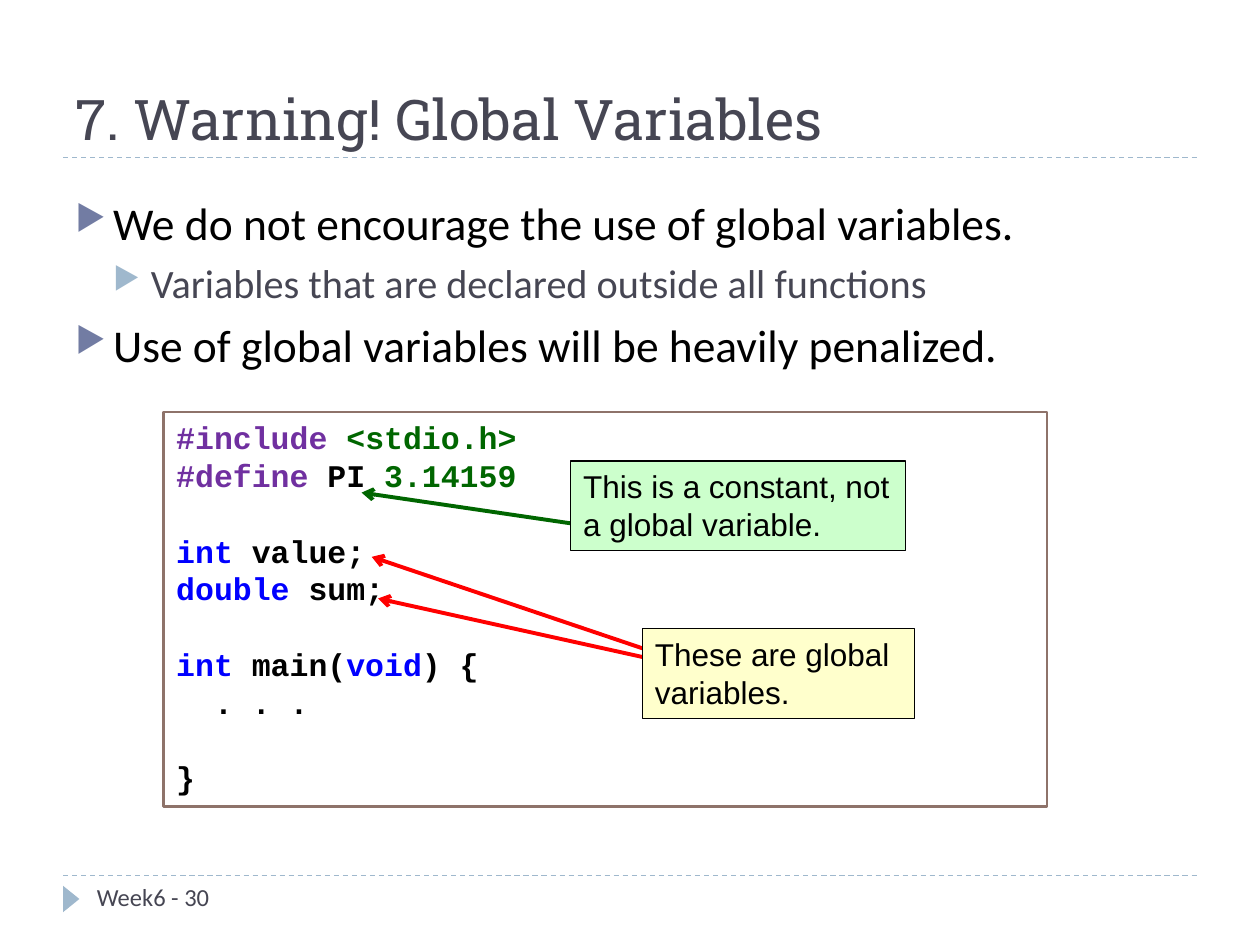
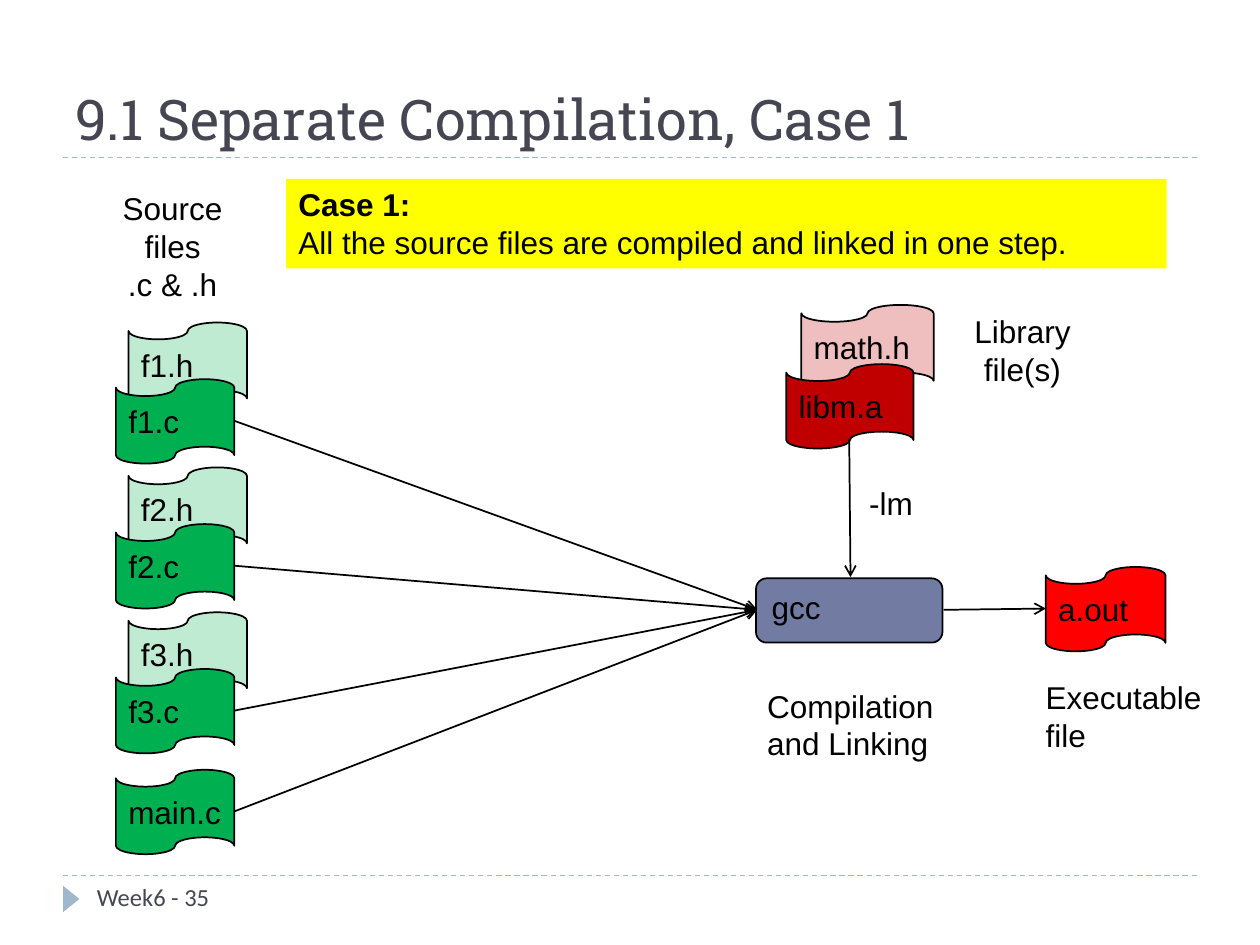
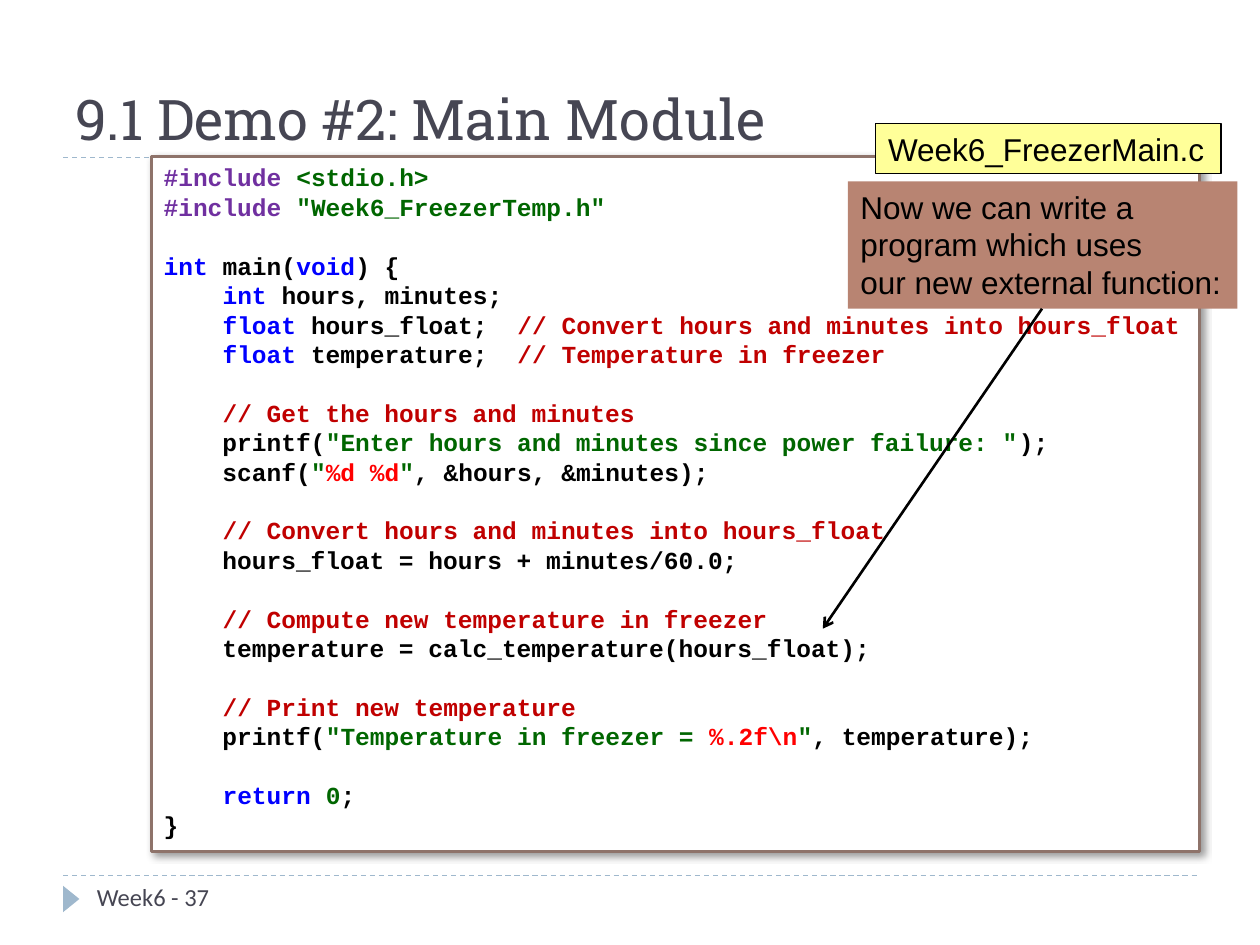
from pptx import Presentation
from pptx import util as u
from pptx.dml.color import RGBColor
from pptx.enum import dml, shapes, text
from pptx.oxml.ns import qn
from pptx.text.text import Font
from lxml import etree

# Colours
BLACK = RGBColor(0x00, 0x00, 0x00)
WHITE = RGBColor(0xFF, 0xFF, 0xFF)
SLATE = RGBColor(0x46, 0x46, 0x53)
INDIGO = RGBColor(0x72, 0x7C, 0xA3)
SKY = RGBColor(0x9F, 0xB8, 0xCD)
BROWN = RGBColor(0x8E, 0x73, 0x6A)
CLAY = RGBColor(0xB8, 0x84, 0x72)
PURPLE = RGBColor(0x70, 0x30, 0xA0)
BLUE = RGBColor(0x00, 0x00, 0xFF)
DARK_GREEN = RGBColor(0x00, 0x66, 0x00)
GREEN = RGBColor(0x00, 0xB0, 0x50)
RED = RGBColor(0xFF, 0x00, 0x00)
DARK_RED = RGBColor(0xC0, 0x00, 0x00)
PALE_GREEN = RGBColor(0xCC, 0xFF, 0xCC)
CREAM = RGBColor(0xFF, 0xFF, 0xCC)
LEMON = RGBColor(0xFF, 0xFF, 0x99)
YELLOW = RGBColor(0xFF, 0xFF, 0x00)

# The first letter of each code piece gives its colour
CODE_COLORS = {"b": BLACK, "p": PURPLE, "k": BLUE, "g": DARK_GREEN,
               "c": DARK_RED, "r": RED}

# Bullet levels: size, text colour, bullet colour, left margin, space before
LEVELS = [(26, BLACK, INDIGO, 0.3, 6), (23, SLATE, SKY, 0.6, 5)]

RECT = shapes.MSO_SHAPE.RECTANGLE
TAPE = shapes.MSO_SHAPE.FLOWCHART_PUNCHED_TAPE


def add(parent, tag, **attrs):
    return etree.SubElement(parent, qn(tag), attrs)


def style(font, name, size, color, bold=False):
    font.name, font.size, font.bold = name, u.Pt(size), bold
    font.color.rgb = color


class Deck:
    """Holds the shared style and the current slide."""

    def __init__(self):
        self.prs = Presentation()
        self.prs.slide_width, self.prs.slide_height = u.Inches(10), u.Inches(7.5)

    def slide(self, title, number):
        self.s = self.prs.slides.add_slide(self.prs.slide_layouts[6])
        for y in (6.95, 1.25):
            self.line(0.5, y, 9.5, y, SKY, 0.75, dash=True)
        marker = self.shape(0.46, 7.07, 0.21, 0.13, SKY, None,
                            kind=shapes.MSO_SHAPE.ISOSCELES_TRIANGLE)
        marker.rotation = 90
        tf = self.label(0.5, 0.17, 9, 1.08, title, "Roboto Slab", 32, SLATE, wrap=True)
        tf.vertical_anchor = text.MSO_ANCHOR.BOTTOM
        self.label(0.67, 6.95, 2.17, 0.4, f"Week6 - {number}", "Calibri", 14, SLATE,
                   wrap=True)

    def line(self, x1, y1, x2, y2, color=BLACK, width=1, dash=False, arrow=False):
        cx = self.s.shapes.add_connector(shapes.MSO_CONNECTOR.STRAIGHT,
                                         *map(u.Inches, (x1, y1, x2, y2)))
        cx.line.color.rgb, cx.line.width = color, u.Pt(width)
        if dash:
            cx.line.dash_style = dml.MSO_LINE.DASH
        spPr = cx._element.spPr
        if arrow:
            add(spPr.get_or_add_ln(), "a:tailEnd", type="arrow")
        add(spPr, "a:effectLst")

    def arrow(self, x1, y1, x2, y2, color=BLACK, width=1):
        self.line(x1, y1, x2, y2, color, width, arrow=True)

    def shape(self, x, y, w, h, fill, line=BLACK, width=1, kind=RECT, alpha=None):
        sp = self.s.shapes.add_shape(kind, *map(u.Inches, (x, y, w, h)))
        sp.shadow.inherit = False
        sp.fill.solid()
        sp.fill.fore_color.rgb = fill
        if alpha:
            color = sp._element.spPr.find(qn("a:solidFill")).find(qn("a:srgbClr"))
            add(color, "a:alpha", val=str(alpha * 1000))
        if line is None:
            sp.line.fill.background()
        else:
            sp.line.color.rgb, sp.line.width = line, u.Pt(width)
        sp.text_frame.vertical_anchor = text.MSO_ANCHOR.TOP
        return sp

    def set_text(self, tf, words, name="Arial", size=18, color=BLACK,
                 align=text.PP_ALIGN.LEFT, wrap=True):
        tf.word_wrap = wrap
        if not wrap:
            tf.auto_size = text.MSO_AUTO_SIZE.SHAPE_TO_FIT_TEXT
        tf.text = words
        for p in tf.paragraphs:
            p.alignment = align
            for r in p.runs:
                style(r.font, name, size, color)
        return tf

    def label(self, x, y, w, h, words, name="Arial", size=18, color=BLACK,
              align=text.PP_ALIGN.LEFT, wrap=False):
        tb = self.s.shapes.add_textbox(*map(u.Inches, (x, y, w, h)))
        return self.set_text(tb.text_frame, words, name, size, color, align, wrap)

    def box(self, x, y, w, h, words, fill, line=BLACK, width=0.75, kind=RECT,
            alpha=None, wrap=True):
        sp = self.shape(x, y, w, h, fill, line, width, kind, alpha)
        return self.set_text(sp.text_frame, words, wrap=wrap)

    def tape(self, x, y, w, words, fill, alpha=None):
        self.box(x, y, w, 0.67, words, fill, width=1, kind=TAPE, alpha=alpha)

    def bullets(self, x, y, w, h, items):
        tf = self.label(x, y, w, h, "\n".join(t for _, t in items), wrap=True)
        for i, (p, (level, _)) in enumerate(zip(tf.paragraphs, items)):
            size, color, bullet, margin, before = LEVELS[level]
            p.level = level
            if i:
                p.space_before = u.Pt(before)
            pPr = p._p.get_or_add_pPr()
            pPr.set("marL", str(u.Inches(margin)))
            pPr.set("indent", str(u.Inches(-0.3)))
            add(add(pPr, "a:buClr"), "a:srgbClr", val=str(bullet))
            add(pPr, "a:buSzPct", val="76000")
            add(pPr, "a:buChar", char="▶")
            style(p.runs[0].font, "Calibri", size, color)

    def code(self, x, y, w, h, size, source, shadow=False):
        sp = self.shape(x, y, w, h, WHITE, BROWN, 1.5)
        if shadow:
            effects = sp._element.spPr.find(qn("a:effectLst"))
            outer = add(effects, "a:outerShdw", blurRad=str(u.Pt(4)), dist=str(u.Pt(3)),
                        dir=str(45 * 60000), algn="tl", rotWithShape="0")
            add(add(outer, "a:srgbClr", val="000000"), "a:alpha", val="40000")
        tf = sp.text_frame
        tf.word_wrap = True
        for i, row in enumerate(source):
            p = tf.add_paragraph() if i else tf.paragraphs[0]
            p.alignment = text.PP_ALIGN.LEFT
            if not row:
                style(Font(p._p.get_or_add_endParaRPr()), "Courier New", size, BLACK, True)
                continue
            for piece in row.split("|"):
                r = p.add_run()
                r.text = piece[1:]
                style(r.font, "Courier New", size, CODE_COLORS[piece[0]], True)


GLOBALS_CODE = [
    "p#include |g<stdio.h>",
    "p#define |bPI |g3.14159",
    "",
    "kint|b value;",
    "kdouble|b sum;",
    "",
    "kint|b main(|kvoid|b) {",
    "b  . . .",
    "",
    "b}",
]

FREEZER_CODE = [
    "p#include |g<stdio.h>",
    'p#include |g"Week6_FreezerTemp.h"',
    "",
    "kint |bmain(|kvoid|b) {",
    "b    |kint|b hours, minutes;",
    "b    |kfloat |bhours_float;  |c// Convert hours and minutes into hours_float",
    "b    |kfloat|b temperature;  |c// Temperature in freezer",
    "",
    "b    |c// Get the hours and minutes",
    'b    printf(|g"Enter hours and minutes since power failure: "|b);',
    'b    scanf(|g"|r%d %d|g"|b, &hours, &minutes);',
    "",
    "b    |c// Convert hours and minutes into hours_float",
    "b    hours_float = hours + minutes/60.0;",
    "",
    "b    |c// Compute new temperature in freezer",
    "b    temperature = calc_temperature(hours_float);",
    "",
    "b    |c// Print new temperature",
    'b    printf(|g"Temperature in freezer = |r%.2f\\n|g"|b, temperature);',
    "",
    "b    |kreturn |g0|b;",
    "b}",
]


def global_variables(d):
    d.slide("7. Warning! Global Variables", 30)
    d.bullets(0.5, 1.5, 9, 1.55, [
        (0, "We do not encourage the use of global variables."),
        (1, "Variables that are declared outside all functions"),
        (0, "Use of global variables will be heavily penalized."),
    ])
    d.code(1.3, 3.27, 7.01, 3.13, 18, GLOBALS_CODE)
    # Callouts
    d.arrow(5.17, 5.23, 3, 4.75, RED, 2.25)
    d.arrow(5.29, 5.21, 2.95, 4.42, RED, 2.25)
    d.box(5.1, 4.99, 2.16, 0.71, "These are global variables.", CREAM)
    d.arrow(4.64, 4.17, 2.87, 3.91, DARK_GREEN, 2.25)
    d.box(4.53, 3.66, 2.66, 0.71, "This is a constant, not a global variable.", PALE_GREEN)


def separate_compilation(d):
    d.slide("9.1 Separate Compilation, Case 1", 35)
    center = text.PP_ALIGN.CENTER
    # Source files, each header behind its module, all feeding the compiler
    d.label(0.87, 1.45, 1, 1.01, "Source\vfiles\v.c & .h", align=center)
    modules = [(f"f{i + 1}", 3.01 + 1.15 * i) for i in range(3)]
    for name, y in modules:
        d.tape(1.02, y - 0.45, 0.94, f"{name}.h", GREEN, alpha=25)
    for name, y in modules + [("main", 6.11)]:
        d.tape(0.92, y, 0.94, f"{name}.c", GREEN)
        d.arrow(1.86, y + 0.33, 6.01, 4.84)
    # Compiler and program
    d.box(6, 4.59, 1.48, 0.51, "gcc", INDIGO, width=1,
          kind=shapes.MSO_SHAPE.ROUNDED_RECTANGLE)
    d.label(5.99, 5.4, 1.53, 0.71, "Compilation\nand Linking")
    d.arrow(7.49, 4.84, 8.3, 4.83)
    d.tape(8.3, 4.5, 0.95, "a.out", RED)
    d.label(8.2, 5.33, 1.45, 0.71, "Executable\vfile")
    # Library
    d.label(7.63, 2.43, 0.97, 0.71, "Library\vfile(s)", align=center)
    d.tape(6.36, 2.42, 1.05, "math.h", DARK_RED, alpha=25)
    d.tape(6.24, 2.89, 1.01, "libm.a", DARK_RED)
    d.arrow(6.74, 3.49, 6.75, 4.58)
    d.label(6.8, 3.79, 0.55, 0.4, "-lm")
    # Summary
    tf = d.box(2.27, 1.42, 6.99, 0.71,
               "Case 1:\nAll the source files are compiled and linked in one step.",
               YELLOW, line=None)
    tf.paragraphs[0].runs[0].font.bold = True


def main_module(d):
    d.slide("9.1 Demo #2: Main Module", 37)
    d.code(1.2, 1.24, 8.32, 5.52, 14, FREEZER_CODE, shadow=True)
    d.box(6.95, 0.98, 2.74, 0.4, "Week6_FreezerMain.c", LEMON, wrap=False)
    d.box(6.73, 1.44, 3.09, 1.01,
          "Now we can write a\vprogram which uses\nour new external function:",
          CLAY, line=None)
    d.arrow(8.27, 2.45, 6.53, 4.99, width=1.5)


def main():
    d = Deck()
    global_variables(d)
    separate_compilation(d)
    main_module(d)
    d.prs.save("out.pptx")


if __name__ == "__main__":
    main()
